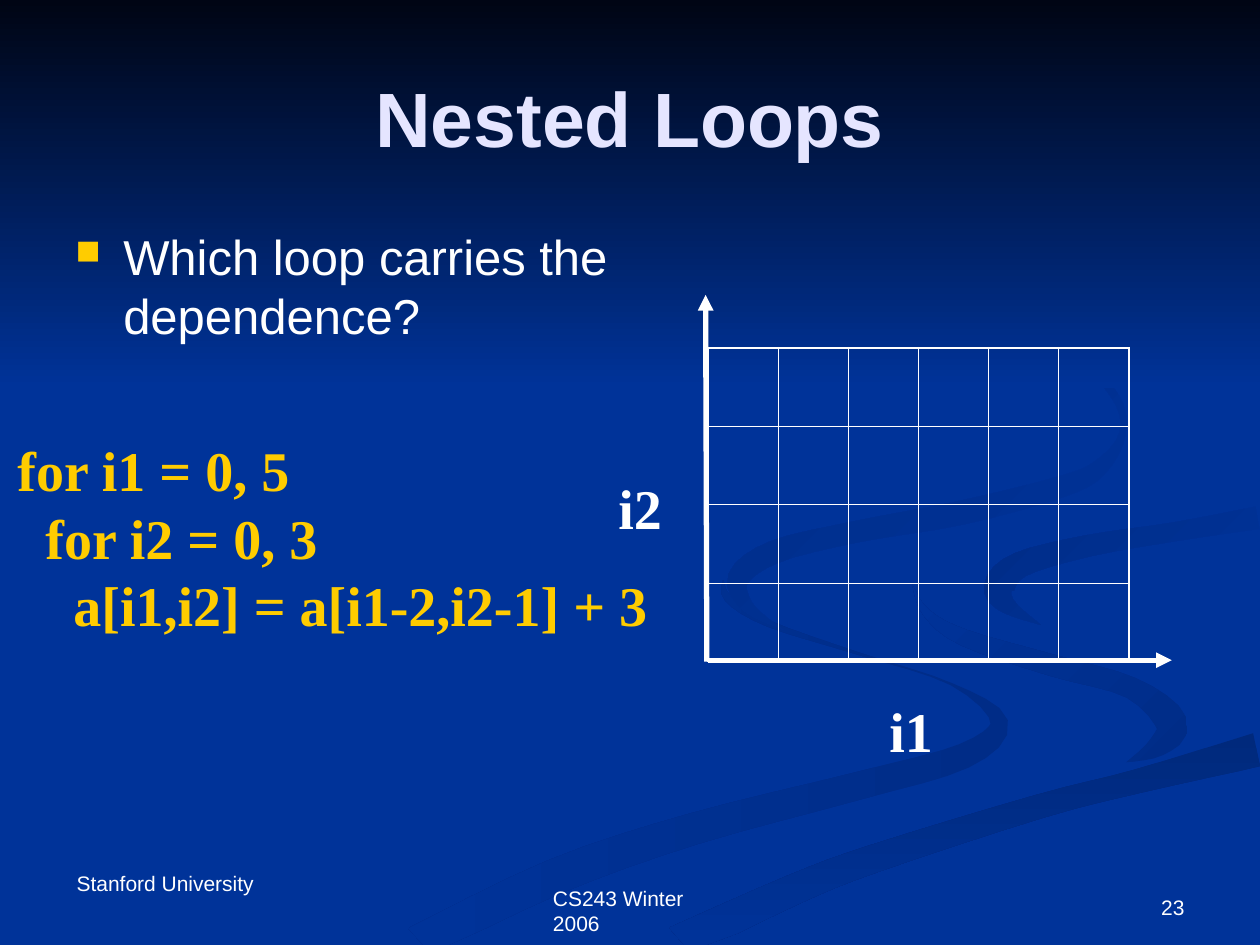
from dataclasses import dataclass
from math import hypot

from pptx import Presentation
from pptx.dml.color import RGBColor
from pptx.enum.shapes import MSO_CONNECTOR
from pptx.enum.text import MSO_ANCHOR, MSO_AUTO_SIZE, PP_ALIGN
from pptx.oxml.ns import qn
from pptx.oxml.xmlchemy import OxmlElement
from pptx.util import Inches, Pt


@dataclass(frozen=True)
class Theme:
    blue: str = "003399"
    shade: str = "002C87"
    deep: str = "00297C"
    night: str = "000514"
    white: str = "FFFFFF"
    lilac: str = "E5E5FF"
    gold: str = "FFCC00"
    sans: str = "Arial"
    serif: str = "Times New Roman"
    title: int = 44
    code: int = 32
    body: int = 28
    small: int = 12
    axis: float = 3
    frame: float = 1.08
    grid: float = 0.45


@dataclass(frozen=True)
class Swirl:
    knots: tuple
    start: str
    end: str
    angle: int


THEME = Theme()
TITLE = {"size": Pt(THEME.title), "name": THEME.sans, "bold": True}
BODY = {"size": Pt(THEME.body), "name": THEME.sans}
SMALL = {"size": Pt(THEME.small), "name": THEME.sans}
CODE = {"size": Pt(THEME.code), "name": THEME.serif, "bold": True}

CURVE_STEPS = 4
LOWER_S = Swirl((
    (5.74, 4.6, 0), (5.78, 4.75, 0.06), (6.1, 4.95, 0.05), (6.82, 5.19, 0.02),
    (7.55, 5.43, 0.02), (7.93, 5.73, 0.14), (7.65, 6, 0.2), (6.8, 6.24, 0.22),
    (5.5, 6.58, 0.25), (4.4, 6.96, 0.28), (3.3, 7.49, 0.27)), THEME.shade, THEME.blue, 180)
RIGHT_CURL = Swirl((
    (7.24, 4.64, 0), (7.35, 4.86, 0.06), (7.65, 5.06, 0.13), (8.35, 5.28, 0.17),
    (8.98, 5.46, 0.17), (9.3, 5.74, 0.25), (9.18, 5.93, 0.16), (8.94, 6.05, 0)),
    THEME.shade, THEME.blue, 135)
RIBBON = Swirl((
    (5.37, 7.49, 0.28), (6.3, 7.06, 0.24), (6.95, 6.81, 0.22), (8.25, 6.4, 0.19),
    (9.03, 6.2, 0.19), (9.98, 5.95, 0.27)), THEME.deep, THEME.blue, 270)
RIGHT_TAIL = Swirl((
    (8.26, 4.96, 0), (8, 4.81, 0.13), (7.93, 4.66, 0.24), (8.1, 4.48, 0.2),
    (8.65, 4.33, 0.17), (9.33, 4.22, 0.15), (9.98, 4.11, 0.18)), THEME.blue, THEME.shade, 135)
UPPER_S = Swirl((
    (7.62, 2.33, 0), (8.45, 2.77, 0.04), (8.84, 3.13, 0.06), (8.91, 3.44, 0.05),
    (8.72, 3.72, 0.13), (8.4, 3.87, 0.17), (7.63, 4.07, 0.19), (6.8, 4.22, 0.17),
    (6.15, 4.38, 0.18), (5.86, 4.59, 0.17), (5.94, 4.82, 0.09), (6.22, 5, 0)),
    THEME.blue, THEME.shade, 135)
SWIRLS = (LOWER_S, RIGHT_CURL, RIBBON, RIGHT_TAIL, UPPER_S)


def rgb(color):
    return RGBColor.from_string(color)


def element(parent, tag, index=None, **attrs):
    e = OxmlElement(tag)
    for key, value in attrs.items():
        e.set(key, str(value))
    parent.insert(len(parent) if index is None else index, e)
    return e


def add_text(slide, box, lines, fmt, color, align=PP_ALIGN.LEFT, anchor=MSO_ANCHOR.TOP, wrap=True):
    tf = slide.shapes.add_textbox(*map(Inches, box)).text_frame
    fit = MSO_AUTO_SIZE.NONE if wrap else MSO_AUTO_SIZE.SHAPE_TO_FIT_TEXT
    frame = {"word_wrap": wrap, "auto_size": fit, "vertical_anchor": anchor}
    for key, value in frame.items():
        setattr(tf, key, value)
    for i, line in enumerate(lines):
        p = tf.paragraphs[0] if i == 0 else tf.add_paragraph()
        p.alignment = align
        r = p.add_run()
        r.text = line
        for key, value in fmt.items():
            setattr(r.font, key, value)
        r.font.color.rgb = rgb(color)
    return tf


def spline(a, b, c, d, t):
    return b + t / 2 * (c - a + t * (2 * a - 5 * b + 4 * c - d + t * (3 * (b - c) + d - a)))


def smooth(knots):
    padded = (knots[0], *knots, knots[-1])
    curve = [tuple(spline(*axis, step / CURVE_STEPS) for axis in zip(*padded[i:i + 4]))
             for i in range(len(knots) - 1) for step in range(CURVE_STEPS)]
    return curve + [knots[-1]]


def ribbon_outline(knots):
    spine = smooth(knots)
    one_side, other_side = [], []
    for i, (x, y, width) in enumerate(spine):
        before, after = spine[max(i - 1, 0)], spine[min(i + 1, len(spine) - 1)]
        dx, dy = after[0] - before[0], after[1] - before[1]
        half = width / 2 / hypot(dx, dy)
        one_side.append((x - dy * half, y + dx * half))
        other_side.append((x + dy * half, y - dx * half))
    return one_side + other_side[::-1]


def add_gradient_shape(slide, box, outline, start, end, angle):
    left, top, width, height = box
    points = [(Inches(left + min(x, width)), Inches(top + min(y, height))) for x, y in outline]
    builder = slide.shapes.build_freeform(*points[0])
    builder.add_line_segments(points[1:], close=True)
    s = builder.convert_to_shape()
    s.shadow.inherit = False
    s.line.fill.background()
    s.fill.gradient()
    s.fill.gradient_angle = angle
    for stop, color in zip(s.fill.gradient_stops, (start, end)):
        stop.color.rgb = rgb(color)


def add_backdrop(slide, box):
    width = box[2]
    slide.background.fill.solid()
    slide.background.fill.fore_color.rgb = rgb(THEME.blue)
    for swirl in SWIRLS:
        add_gradient_shape(slide, box, ribbon_outline(swirl.knots),
                           swirl.start, swirl.end, swirl.angle)
    band = [(0, 0), (width, 0), (width, 3.08), (0, 3.08)]
    add_gradient_shape(slide, box, band, THEME.night, THEME.blue, 270)


def add_question(slide, box):
    tf = add_text(slide, box, ["Which loop carries the dependence?"], BODY, THEME.white)
    pPr = tf.paragraphs[0]._p.get_or_add_pPr()
    hang = Inches(0.38)
    pPr.set("marL", str(hang))
    pPr.set("indent", str(-hang))
    element(element(pPr, "a:buClr"), "a:srgbClr", val=THEME.gold)
    element(pPr, "a:buSzPct", val=70000)
    element(pPr, "a:buChar", char="■")


def add_grid(slide, box, rows, cols):
    table = slide.shapes.add_table(rows, cols, *map(Inches, box)).table
    table.first_row = table.horz_banding = False
    for r in range(rows):
        for c in range(cols):
            cell = table.cell(r, c)
            cell.fill.background()
            tcPr = cell._tc.get_or_add_tcPr()
            on_frame = {"L": c == 0, "R": c == cols - 1, "T": r == 0, "B": r == rows - 1}
            for i, (side, framed) in enumerate(on_frame.items()):
                width = Pt(THEME.frame if framed else THEME.grid)
                ln = element(tcPr, f"a:ln{side}", i, w=width)
                element(element(ln, "a:solidFill"), "a:srgbClr", val=THEME.white)


def add_axis(slide, *ends):
    c = slide.shapes.add_connector(MSO_CONNECTOR.STRAIGHT, *map(Inches, ends))
    c.line.color.rgb = rgb(THEME.white)
    c.line.width = Pt(THEME.axis)
    spPr = c._element.spPr
    element(spPr.find(qn("a:ln")), "a:tailEnd", type="triangle")
    element(spPr, "a:effectLst")


def add_iteration_space(slide, box):
    left, top, width, height = box
    right, bottom = left + width, top + height
    add_grid(slide, box, rows=4, cols=6)
    for name, x, y in (("i1", left + 1.34, bottom + 0.23), ("i2", left - 0.81, top + 0.95)):
        add_text(slide, (x, y, 0.6, 0.64), [name], CODE, THEME.white, wrap=False)
    add_axis(slide, left, bottom - 0.01, right + 0.34, bottom - 0.01)
    add_axis(slide, left - 0.01, bottom, left - 0.02, top - 0.42)


def add_footer(slide, box):
    left, top, width, height = box
    number_width = 2.33
    add_text(slide, (left + 3.79, top + 0.15, 1.65, 0.3), ["CS243 Winter 2006"],
             SMALL, THEME.white, wrap=False)
    add_text(slide, (left + 0.01, top + 0.03, 1.88, 0.3), ["Stanford University"], SMALL, THEME.white)
    add_text(slide, (left + width - number_width, top, number_width, height), ["23"],
             SMALL, THEME.white, PP_ALIGN.RIGHT, MSO_ANCHOR.BOTTOM)


def main():
    prs = Presentation()
    prs.slide_width, prs.slide_height = Inches(10), Inches(7.5)
    slide = prs.slides.add_slide(prs.slide_layouts[6])
    add_backdrop(slide, (0, 0, 10, 7.5))
    add_text(slide, (0.5, 0.3, 9, 1.25), ["Nested Loops"], TITLE, THEME.lilac,
             PP_ALIGN.CENTER, MSO_ANCHOR.MIDDLE)
    add_question(slide, (0.5, 1.75, 4.42, 4.95))
    add_text(slide, (0.04, 3.41, 5.8, 1.7),
             ["for i1 = 0, 5", "  for i2 = 0, 3", "    a[i1,i2] = a[i1-2,i2-1] + 3"],
             CODE, THEME.gold, wrap=False)
    add_iteration_space(slide, (5.62, 2.76, 3.34, 2.49))
    add_footer(slide, (0.5, 6.83, 9, 0.52))
    prs.save("out.pptx")


if __name__ == "__main__":
    main()
